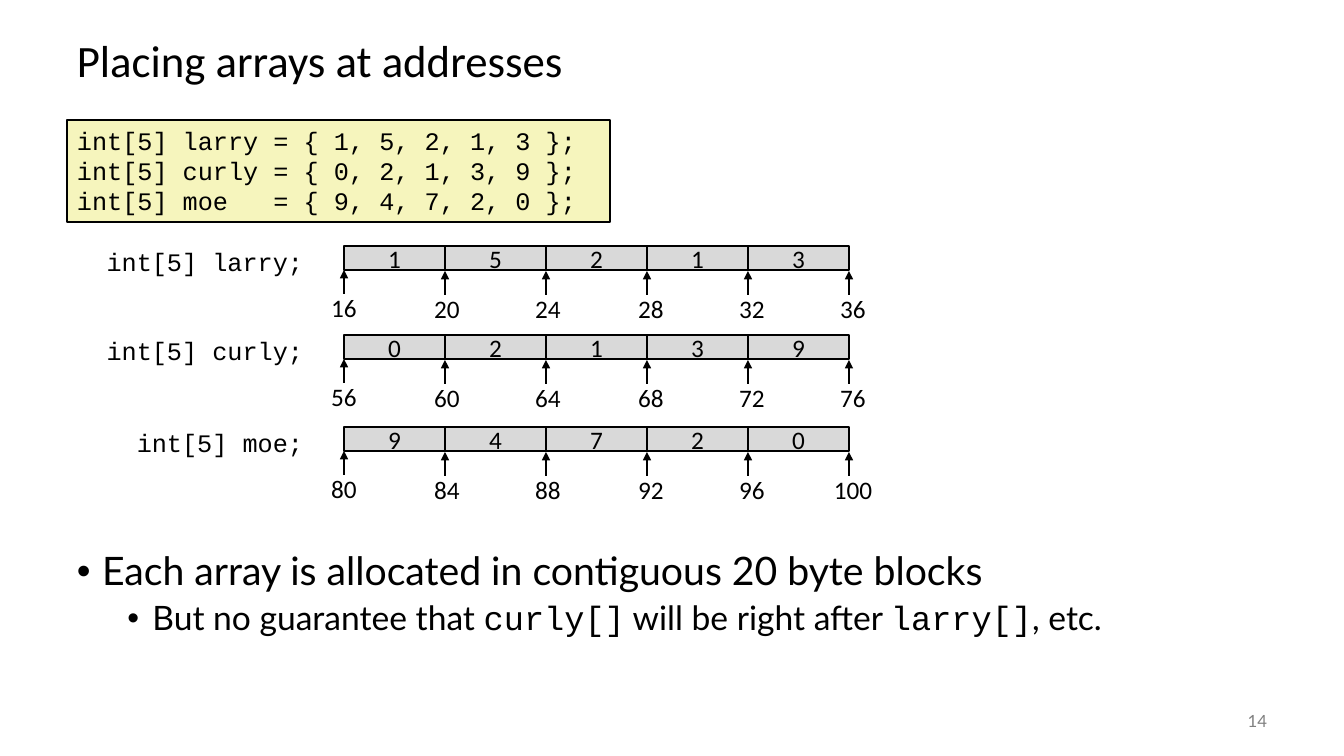
from lxml import etree
from pptx import Presentation, util as u
from pptx.dml.color import RGBColor
from pptx.enum import shapes, text
from pptx.oxml.ns import qn

# Content
TITLE = "Placing arrays at addresses"
CODE = [
    "int[5] larry = { 1, 5, 2, 1, 3 };",
    "int[5] curly = { 0, 2, 1, 3, 9 };",
    "int[5] moe   = { 9, 4, 7, 2, 0 };",
]
# name, top in px, first address, values
ARRAYS = [
    ("larry", 246, 16, (1, 5, 2, 1, 3)),
    ("curly", 335, 56, (0, 2, 1, 3, 9)),
    ("moe", 427, 80, (9, 4, 7, 2, 0)),
]
# level, runs of (font role, text)
POINTS = [
    (0, [("body", "Each array is allocated in contiguous 20 byte blocks")]),
    (1, [("body", "But no guarantee that "), ("code", "curly[]"),
         ("body", " will be right after "), ("code", "larry[]"),
         ("body", ", etc.")]),
]
PAGE = "14"

THEME = {
    "font": {"head": "Calibri", "body": "Lato", "code": "Courier New"},
    "size": {"title": 32, "points": (28, 24), "text": 18, "page": 12},
    "ink": "000000", "cell": "D9D9D9", "note": "F6F5BD", "pale": "808080",
}
SIZE, INT = THEME["size"], 4
LEFT, CELL_X, CELL_W, CELL_H = 67, 344, 101, 24
NUDGE = (0, 2, 2, 4, 4, 4)  # right shift of each address label

ALIGN, ANCHOR = text.PP_ALIGN, text.MSO_ANCHOR


def px(n):
    return u.Emu(round(n * 914400 / 100.8))


def box(at):
    return [px(n) for n in at]


def color(name):
    return RGBColor.from_string(THEME[name])


def add_run(para, words, role, size, ink="ink"):
    run = para.add_run()
    run.text = words
    run.font.name = THEME["font"][role]
    run.font.size = u.Pt(size)
    run.font.color.rgb = color(ink)


def write(shape, lines, role, size, align=ALIGN.LEFT, anchor=ANCHOR.TOP,
          wrap=True, ink="ink"):
    frame = shape.text_frame
    frame.word_wrap = wrap
    frame.vertical_anchor = anchor
    for i, line in enumerate(lines):
        para = frame.add_paragraph() if i else frame.paragraphs[0]
        para.alignment = align
        add_run(para, line, role, size, ink)
    return frame


def add_rect(parent, at, fill, width):
    rect = parent.add_shape(shapes.MSO_SHAPE.RECTANGLE, *box(at))
    rect.shadow.inherit = False
    rect.fill.solid()
    rect.fill.fore_color.rgb = color(fill)
    rect.line.color.rgb = color("ink")
    rect.line.width = u.Pt(width)
    return rect


def add_arrow(parent, x, low, high):
    arrow = parent.add_connector(shapes.MSO_CONNECTOR.STRAIGHT,
                                 *box((x, low, x, high)))
    arrow.line.color.rgb = color("ink")
    arrow.line.width = u.Pt(2)
    line = arrow.line._get_or_add_ln()
    etree.SubElement(line, qn("a:tailEnd"), type="triangle")
    etree.SubElement(arrow._element.spPr, qn("a:effectLst"))


def add_array(parent, name, top, start, values):
    label = parent.add_textbox(*box((LEFT, top - 5, 246, 40)))
    write(label, [f"int[5] {name};"], "code", SIZE["text"], ALIGN.RIGHT)
    group = parent.add_group_shape().shapes
    for i, value in enumerate(values):
        cell = add_rect(group, (CELL_X + i * CELL_W, top, CELL_W, CELL_H),
                        "cell", 2)
        write(cell, [str(value)], "head", SIZE["text"], ALIGN.CENTER,
              ANCHOR.MIDDLE, wrap=False)
    for i, shift in enumerate(NUDGE):
        x = CELL_X + i * CELL_W
        y = top if i else top - 1
        add_arrow(group, x, y + 49, y + 25)
        mark = group.add_textbox(*box((x + shift - 54, y + 42, 108, 40)))
        write(mark, [str(start + i * INT)], "head", SIZE["text"],
              ALIGN.CENTER)


def add_points(parent):
    frame = parent.add_textbox(*box((LEFT, 547, 1210, 133))).text_frame
    frame.word_wrap = True
    for i, (level, runs) in enumerate(POINTS):
        para = frame.add_paragraph() if i else frame.paragraphs[0]
        para.level = level
        para.line_spacing = 0.9
        if i:
            para.space_before = u.Pt(5)
        props = para._p.get_or_add_pPr()
        props.set("marL", str(u.Inches(0.25 + 0.5 * level)))
        props.set("indent", str(u.Inches(-0.25)))
        etree.SubElement(props, qn("a:buFont"), typeface="Arial")
        etree.SubElement(props, qn("a:buChar"), char="•")
        for role, words in runs:
            add_run(para, words, role, SIZE["points"][level])


def main():
    deck = Presentation()
    deck.slide_width, deck.slide_height = box((1344, 756))
    parts = deck.slides.add_slide(deck.slide_layouts[6]).shapes

    # Title
    head = parts.add_textbox(*box((LEFT, 25, 1210, 76)))
    frame = write(head, [TITLE], "head", SIZE["title"], anchor=ANCHOR.MIDDLE)
    frame.paragraphs[0].line_spacing = 0.9

    # Code
    note = add_rect(parts, (LEFT, 120, 543, 102), "note", 1)
    write(note, CODE, "code", SIZE["text"])

    # Arrays in memory
    for array in ARRAYS:
        add_array(parts, *array)

    # Points and page number
    add_points(parts)
    page = parts.add_textbox(*box((1176, 701, 101, 40)))
    write(page, [PAGE], "body", SIZE["page"], ALIGN.RIGHT, ANCHOR.MIDDLE,
          ink="pale")

    deck.save("out.pptx")


if __name__ == "__main__":
    main()
